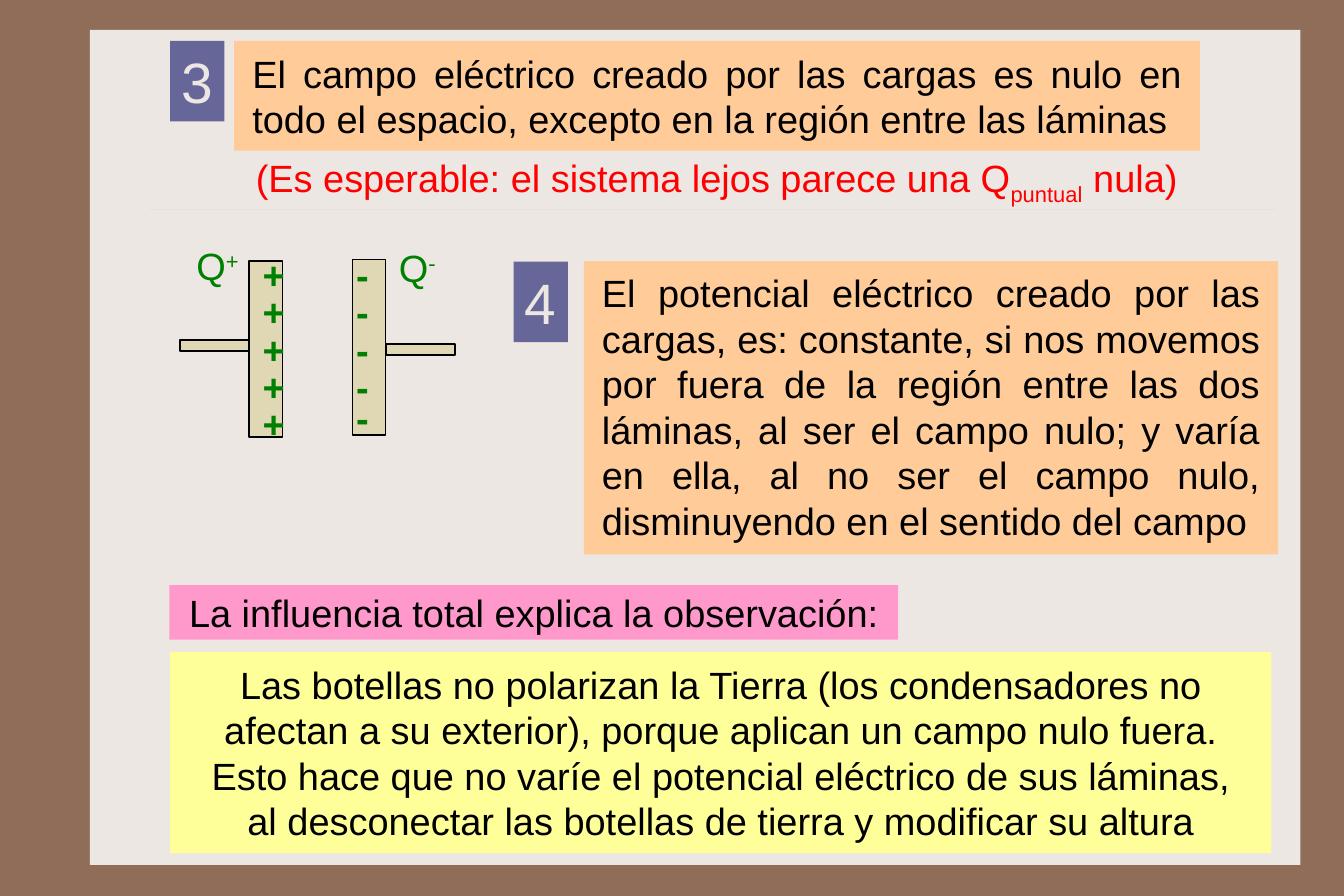
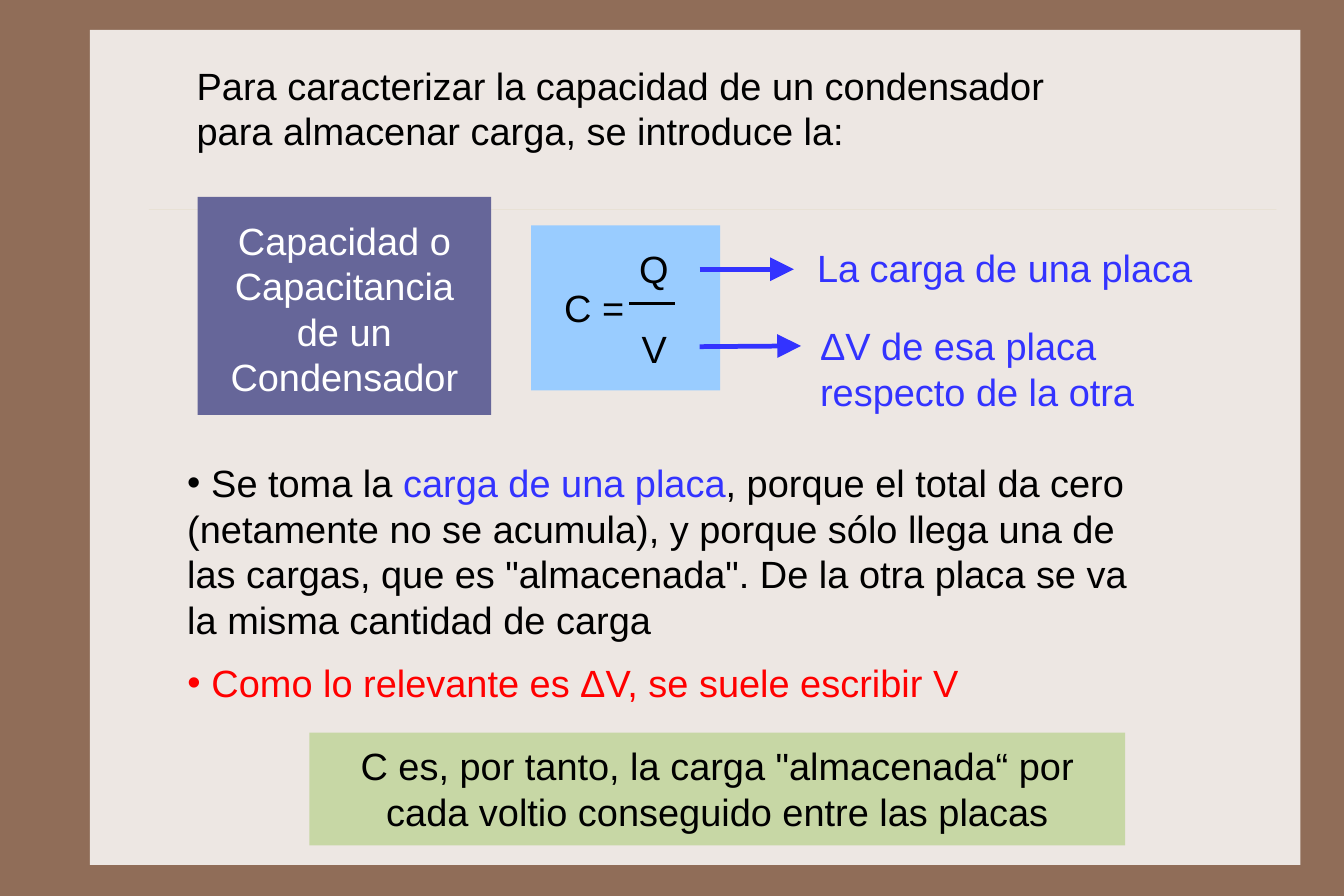
from lxml import etree
from pptx import Presentation
from pptx.dml.color import RGBColor
from pptx.enum.shapes import MSO_CONNECTOR, MSO_SHAPE
from pptx.enum.text import MSO_ANCHOR, PP_ALIGN
from pptx.oxml.ns import qn
from pptx.util import Pt

RECT = MSO_SHAPE.RECTANGLE
STRAIGHT = MSO_CONNECTOR.STRAIGHT
TOP, MIDDLE = MSO_ANCHOR.TOP, MSO_ANCHOR.MIDDLE
LEFT, CENTER, JUSTIFY = PP_ALIGN.LEFT, PP_ALIGN.CENTER, PP_ALIGN.JUSTIFY
FONT = "Arial"
C = {
    "border": "906D58", "paper": "EDE7E3", "rule": "CBBD83",
    "black": "000000", "white": "FFFFFF", "red": "FF0000",
    "blue": "3333FF", "green": "008000", "slate": "666699",
    "peach": "FFCC99", "yellow": "FFFF99", "pink": "FF99CC",
    "plate": "E0D7B5", "sky": "99CCFF", "sage": "C7D7A5",
}


def add_box(s, at, paras=(), fill=None, line=None, color="black", size=24,
            bold=False, align=LEFT, anchor=TOP, inset=(7.2, 3.6), wrap=True):
    """Rectangle or text box; a paragraph is a list of (text, color, baseline %)."""
    at = [Pt(v) for v in at]
    if fill:
        sp = s.shapes.add_shape(RECT, *at)
        sp.shadow.inherit = False
        sp.fill.solid()
        sp.fill.fore_color.rgb = RGBColor.from_string(C[fill])
        if line:
            sp.line.color.rgb = RGBColor.from_string(C[line])
            sp.line.width = Pt(1)
        else:
            sp.line.fill.background()
    else:
        sp = s.shapes.add_textbox(*at)
    tf = sp.text_frame
    tf.word_wrap = wrap
    tf.vertical_anchor = anchor
    tf.margin_left = tf.margin_right = Pt(inset[0])
    tf.margin_top = tf.margin_bottom = Pt(inset[1])
    for i, runs in enumerate(paras):
        p = tf.paragraphs[0] if i == 0 else tf.add_paragraph()
        p.alignment = align
        for text, run_color, baseline in runs:
            r = p.add_run()
            r.text = text
            r.font.name, r.font.size, r.font.bold = FONT, Pt(size), bold
            r.font.color.rgb = RGBColor.from_string(C[run_color or color])
            if baseline:
                r._r.get_or_add_rPr().set("baseline", str(baseline * 1000))
    return sp


def add_line(s, x1, y1, x2, y2, color, width, arrow=False):
    cx = s.shapes.add_connector(STRAIGHT, Pt(x1), Pt(y1), Pt(x2), Pt(y2))
    cx.line.color.rgb = RGBColor.from_string(C[color])
    cx.line.width = Pt(width)
    if arrow:
        etree.SubElement(cx.line._get_or_add_ln(), qn("a:tailEnd"),
                         type="triangle", w="lg", len="lg")
    etree.SubElement(cx.element.spPr, qn("a:effectLst"))
    return cx


prs = Presentation()
prs.slide_width, prs.slide_height = Pt(850.5), Pt(567)
layout = prs.slide_layouts[6]

# Shared background, paper and rule live on the blank layout
layout.background.fill.solid()
layout.background.fill.fore_color.rgb = RGBColor.from_string(C["border"])
s = prs.slides.add_slide(layout)
paper = add_box(s, (56.9, 18.9, 766.1, 528.4), fill="paper")
rule = add_line(s, 94.3, 132.4, 807.8, 132.4, "rule", 0.25)
rule_color = rule.element.spPr.find(".//" + qn("a:srgbClr"))
etree.SubElement(rule_color, qn("a:alpha"), val="40000")
for shape in (paper, rule):
    layout.shapes.element.append(shape.element)

# Slide 1: numbered statements
for number, x, y in (("3", 107.7, 25.8), ("4", 325, 165.6)):
    add_box(s, (x, y, 34.4, 51), [[(number, "paper", 0)]], fill="slate",
            size=36, wrap=False)
field = "El campo eléctrico creado por las cargas es nulo en todo el espacio, excepto en la región entre las láminas"
potential = ("El potencial eléctrico creado por las cargas, es: constante, si nos movemos "
             "por fuera de la región entre las dos láminas, al ser el campo nulo; y varía "
             "en ella, al no ser el campo nulo, disminuyendo en el sentido del campo")
for text, at, anchor in ((field, (148.2, 25.8, 611.2, 69.6), MIDDLE),
                         (potential, (369.4, 165.2, 439.4, 185.6), TOP)):
    add_box(s, at, [[(text, None, 0)]], fill="peach", align=JUSTIFY,
            anchor=anchor, inset=(11.5, 5.7))
add_box(s, (138.2, 94.3, 630.7, 40.3),
        [[("(Es esperable: el sistema lejos parece una Q", None, 0),
          ("puntual", None, -25), (" nula)", None, 0)]],
        color="red", align=CENTER, anchor=MIDDLE, inset=(14.4, 5.7))

# Capacitor: plates, rods, labels and charges
for at in ((157.6, 165.2, 21.1, 111.2), (223, 164.1, 21.1, 111.2),
           (113.8, 215.1, 43.8, 7), (244.1, 217.6, 43.8, 7)):
    add_box(s, at, fill="plate", line="black")
for sign, x, y, w in (("+", 117.2, 150, 42.5), ("-", 245.3, 151.2, 38.2)):
    add_box(s, (x, y, w, 36.7), [[("Q", None, 0), (sign, None, 30)]],
            color="green", wrap=False)
for sign, x, w, last in (("+", 159.2, 28.8, 249.9), ("-", 218.2, 22.3, 246.3)):
    for y in [155.5 + 23.7 * i for i in range(4)] + [last]:
        add_box(s, (x, y, w, 36.7), [[(sign, None, 0)]], color="green",
                bold=True, wrap=False)

# Conclusion
add_box(s, (107.2, 370.2, 461.2, 34.6),
        [[("La influencia total explica la observación:", None, 0)]],
        fill="pink", align=CENTER, inset=(7.2, 2.9))
add_box(s, (107.7, 412.5, 696.8, 127.4),
        [[("Las botellas no polarizan la Tierra (los condensadores no afectan a su "
           "exterior), porque aplican un campo nulo fuera. Esto hace que no varíe el "
           "potencial eléctrico de sus láminas,", None, 0)],
         [("al desconectar las botellas de tierra y modificar su altura", None, 0)]],
        fill="yellow", align=CENTER, anchor=MIDDLE, inset=(8.6, 5.7))

# Slide 2: definition of capacitance
s = prs.slides.add_slide(layout)
add_box(s, (117.4, 36, 551.5, 65.5),
        [[("Para caracterizar la capacidad de un condensador para almacenar carga, "
           "se introduce la:", None, 0)]])
add_box(s, (125, 124.6, 185.8, 138),
        [[("Capacidad o Capacitancia de un Condensador", "white", 0)]],
        fill="slate", align=CENTER, anchor=MIDDLE).text_frame.margin_top = Pt(6.5)

# Formula
add_box(s, (336.2, 142.6, 119.5, 104.4), fill="sky")
for text, x, y, w in (("C =", 349.9, 176.4, 59), ("Q", 397.4, 151.9, 33.1),
                      ("V", 398.9, 202.3, 30.2)):
    add_box(s, (x, y, w, 36.7), [[(text, None, 0)]], wrap=False)
add_line(s, 398.2, 192.2, 427, 192.2, "black", 2)

# Meaning of each term
add_line(s, 442.8, 170.4, 502.4, 170.4, "blue", 3, arrow=True)
add_line(s, 442.8, 219.4, 506.9, 218.9, "blue", 3, arrow=True)
charge = add_box(s, (502.6, 157, 266.4, 31), [[("La carga de una placa", None, 0)]],
                 color="blue", align=CENTER)
charge.text_frame.paragraphs[0].line_spacing = 0.8
add_box(s, (511.9, 200.9, 238.3, 65.5),
        [[("ΔV de esa placa respecto de la otra", None, 0)]], color="blue")

# Bulleted remarks
remark = add_box(s, (111.4, 284.4, 620.6, 129.6),
                 [[("Se toma la ", None, 0), ("carga de una placa", "blue", 0),
                   (", porque el total da cero", None, 0)],
                  [("(netamente no se acumula), y porque sólo llega una de las cargas, "
                    "que es \"almacenada\". De la otra placa se va la misma cantidad de "
                    "carga", None, 0)]], inset=(7.2, 6.5))
note = add_box(s, (107.3, 409, 510.5, 46.1),
               [[("Como lo relevante es ΔV, se suele escribir V", None, 0)]],
               color="red", anchor=MIDDLE, inset=(11.3, 8.6))
for sp in (remark, note):
    pPr = sp.text_frame.paragraphs[0]._p.get_or_add_pPr()
    pPr.set("marL", str(Pt(15.2)))
    pPr.set("indent", str(-Pt(15.2)))
    etree.SubElement(pPr, qn("a:buFont"), typeface=FONT)
    etree.SubElement(pPr, qn("a:buChar"), char="•")

add_box(s, (195.8, 463.7, 516.2, 71.3),
        [[("C es, por tanto, la carga \"almacenada“ por cada voltio conseguido entre "
           "las placas", None, 0)]], fill="sage", align=CENTER, inset=(7.2, 6.5))

prs.save("out.pptx")
